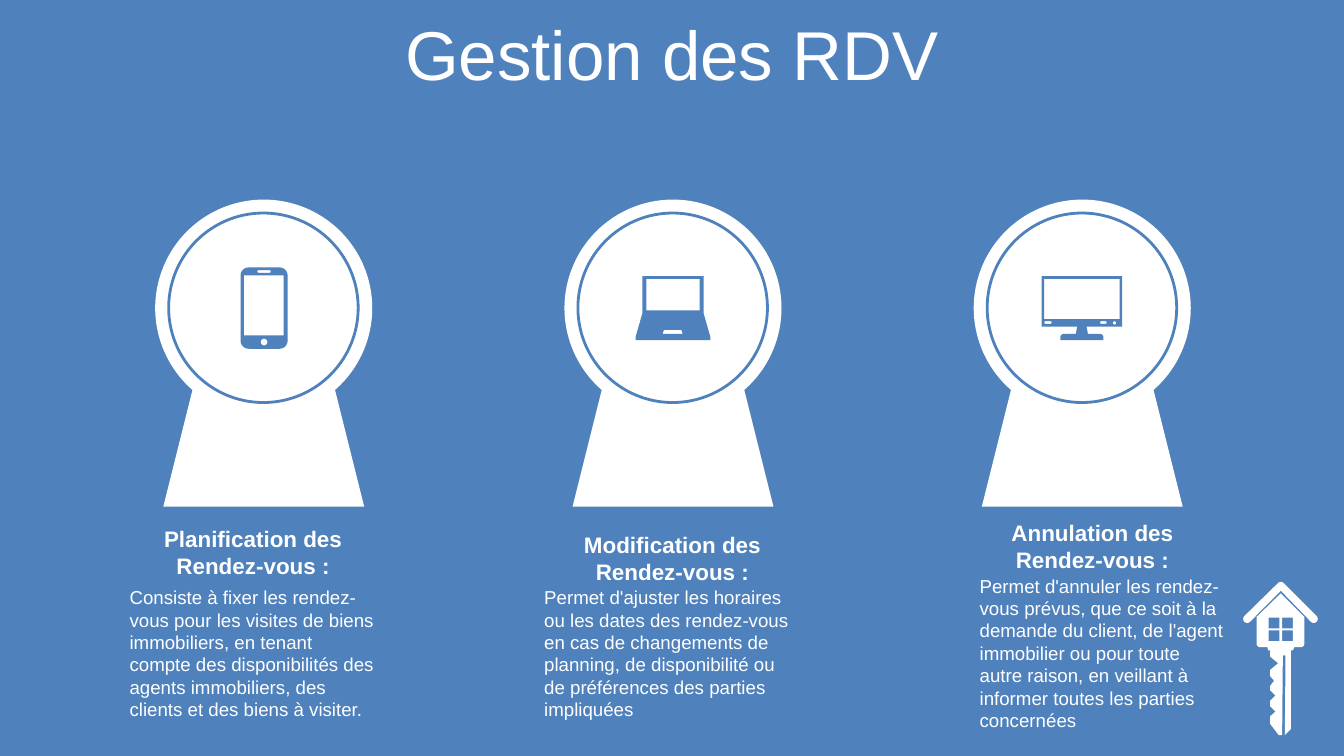
from math import cos, radians, sin

from pptx import Presentation
from pptx.dml.color import RGBColor
from pptx.enum.shapes import MSO_SHAPE as SHAPE
from pptx.enum.text import MSO_ANCHOR as ANCHOR, MSO_AUTO_SIZE as AUTO, PP_ALIGN as ALIGN
from pptx.util import Pt

EMU_PER_PX = 9144  # 100 px to the inch
BLUE, WHITE = "4F81BD", "FFFFFF"


def px(n):
    return round(n * EMU_PER_PX)


def rgb(value):
    return RGBColor.from_string(value)


def arc(cx, cy, r, start, end, steps=12):
    """Points along a circle; degrees run clockwise from the right."""
    angles = [radians(start + (end - start) * i / steps) for i in range(steps + 1)]
    return [(cx + r * cos(a), cy + r * sin(a)) for a in angles]


def rect(x, y, w, h):
    return [(x, y), (x + w, y), (x + w, y + h), (x, y + h)]


def round_rect(x, y, w, h, r):
    right, bottom = x + w - r, y + h - r
    return (arc(x + r, y + r, r, 180, 270) + arc(right, y + r, r, 270, 360)
            + arc(right, bottom, r, 0, 90) + arc(x + r, bottom, r, 90, 180))


class Deck:
    """Holds the style and the slide that is being filled."""

    font = "Arial"

    def __init__(self, prs):
        self.s = prs.slides.add_slide(prs.slide_layouts[6])
        self.s.background.fill.solid()
        self.s.background.fill.fore_color.rgb = rgb(BLUE)
        self.shapes = self.s.shapes

    def start_group(self):
        self.shapes = self.s.shapes.add_group_shape().shapes

    def end_group(self):
        self.shapes = self.s.shapes

    def paint(self, sp, fill, line=None):
        sp.shadow.inherit = False
        sp.fill.solid()
        sp.fill.fore_color.rgb = rgb(fill)
        if line:
            sp.line.color.rgb = rgb(line)
            sp.line.width = Pt(3)
        else:
            sp.line.fill.background()

    def shape(self, kind, x, y, w, h, line=None):
        sp = self.shapes.add_shape(kind, px(x), px(y), px(w), px(h))
        self.paint(sp, WHITE, line)

    def outline(self, contours, fill):
        """One freeform of closed contours; inner ones cut holes."""
        contours = [[(px(x), px(y)) for x, y in c] for c in contours]
        builder = self.shapes.build_freeform(*contours[0][0], scale=1.0)
        builder.add_line_segments(contours[0][1:], close=True)
        for c in contours[1:]:
            builder.move_to(*c[0])
            builder.add_line_segments(c[1:], close=True)
        self.paint(builder.convert_to_shape(), fill)

    def text(self, words, x, y, w, h, size, bold=False, align=ALIGN.LEFT,
             anchor=ANCHOR.TOP, fit=AUTO.SHAPE_TO_FIT_TEXT, spacing=None):
        tf = self.shapes.add_textbox(px(x), px(y), px(w), px(h)).text_frame
        for name, value in {"word_wrap": True, "auto_size": fit,
                            "vertical_anchor": anchor}.items():
            setattr(tf, name, value)
        p = tf.paragraphs[0]
        p.alignment, p.line_spacing = align, spacing
        r = p.add_run()
        r.text = words
        for name, value in {"name": self.font, "size": Pt(size), "bold": bold}.items():
            setattr(r.font, name, value)
        r.font.color.rgb = rgb(WHITE)

    def keyhole(self, x):
        self.start_group()
        self.shape(SHAPE.TRAPEZOID, x + 12, 579, 299, 175)
        self.shape(SHAPE.OVAL, x, 297, 323, 323)
        self.shape(SHAPE.OVAL, x + 20, 317, 282, 282, line=BLUE)
        self.end_group()

    def caption(self, heading, heading_at, body, body_at, body_height):
        self.start_group()
        self.text(body, *body_at, 387, body_height, 20)
        self.text(heading, *heading_at, 387, 91, 24, bold=True, align=ALIGN.CENTER)
        self.end_group()


PHONE = [
    round_rect(358, 398, 70, 121, 12),
    rect(363, 410, 59, 89),
    round_rect(383, 402, 20, 4, 2),
    arc(393, 509, 5, 0, 360, 24),
]
LAPTOP = [
    [(956, 411), (1047, 411), (1047, 466), (1057, 501), (1057, 506),
     (946, 506), (946, 501), (956, 466)],
    rect(962, 415, 79, 47),
    [(988, 491), (986, 497), (1016, 497), (1014, 491)],
]
MONITOR = [
    [(1550, 411), (1670, 411), (1670, 486), (1617, 486), (1619, 497),
     *arc(1637, 502, 5, -90, 0), (1642, 506), (1578, 506),
     *arc(1583, 502, 5, 180, 270), (1601, 497), (1603, 486), (1550, 486)],
    rect(1554, 415, 112, 60),
    round_rect(1554, 478, 11, 4, 2),
    round_rect(1637, 478, 10, 4, 2),
    arc(1658.5, 480.5, 2.5, 0, 360, 24),
]
ROOF = [*arc(1906, 872, 6, 225, 315), *arc(1955, 921, 6, -45, 135),
        (1906, 879), *arc(1856, 921, 6, 45, 225)]
WALLS = [(1906, 883), (1941, 918), *arc(1936, 958, 5, 0, 90), (1926, 963),
         (1924, 968), (1887, 968), (1886, 963), *arc(1875, 958, 5, 90, 180),
         (1870, 918)]
WINDOWS = [rect(x, y, 16, 16) for x in (1888, 1908) for y in (919, 938)]
BLADE = [(1890, 968), (1921, 968), (1921, 1085), (1912, 1094),
         *arc(1911, 977, 2, 0, -180), (1908, 1094), (1903, 1094), (1890, 1077),
         (1890, 1066), (1898, 1059), (1890, 1051), (1890, 1043), (1898, 1035),
         (1890, 1027), (1890, 1021), (1896, 1013), (1890, 1006), (1890, 997),
         (1902, 987), (1890, 977)]
HOUSE_KEY = [ROOF, WALLS, *WINDOWS, BLADE]

COLUMNS = [
    (PHONE, "Planification des Rendez-vous :", (183, 776),
     "Consiste à fixer les rendez-vous pour les visites de biens immobiliers, en tenant "
     "compte des disponibilités des agents immobiliers, des clients et des biens à visiter.",
     (183, 867), 252),
    (LAPTOP, "Modification des Rendez-vous :", (807, 786),
     "Permet d'ajuster les horaires ou les dates des rendez-vous en cas de changements de "
     "planning, de disponibilité ou de préférences des parties impliquées",
     (800, 867), 212),
    (MONITOR, "Annulation des Rendez-vous :", (1432, 767),
     "Permet d'annuler les rendez-vous prévus, que ce soit à la demande du client, de l'agent "
     "immobilier ou pour toute autre raison, en veillant à informer toutes les parties concernées",
     (1448, 850), 246),
]


def main():
    prs = Presentation()
    prs.slide_width, prs.slide_height = px(2000), px(1125)
    deck = Deck(prs)
    deck.outline(HOUSE_KEY, WHITE)
    deck.text("Gestion des RDV", 0, 27, 2000, 126, 74, align=ALIGN.CENTER,
              anchor=ANCHOR.MIDDLE, fit=AUTO.NONE, spacing=0.8)
    for i, (icon, *caption) in enumerate(COLUMNS):
        deck.keyhole(231 + 609 * i)
        deck.caption(*caption)
        deck.outline(icon, BLUE)
    prs.save("out.pptx")


if __name__ == "__main__":
    main()
